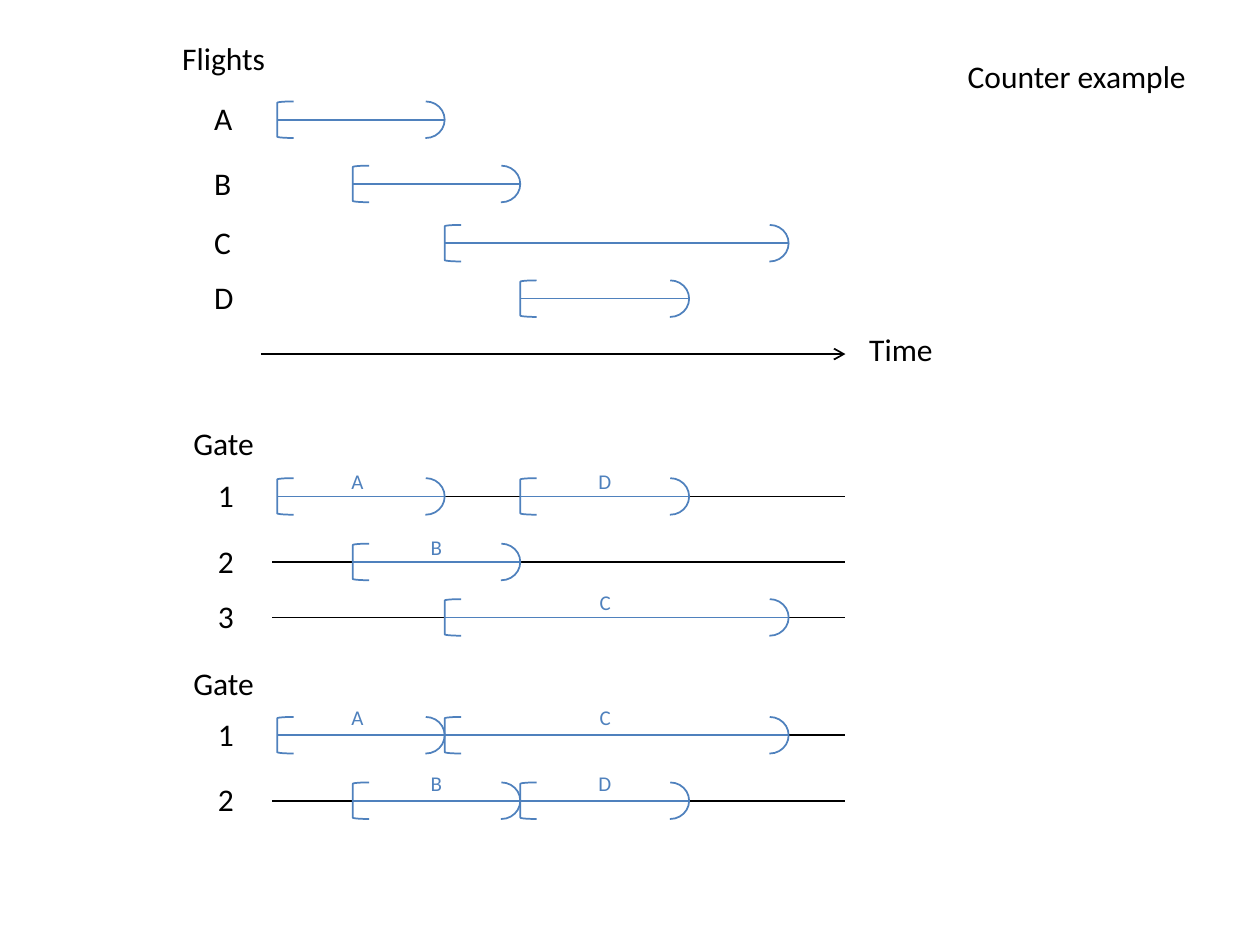
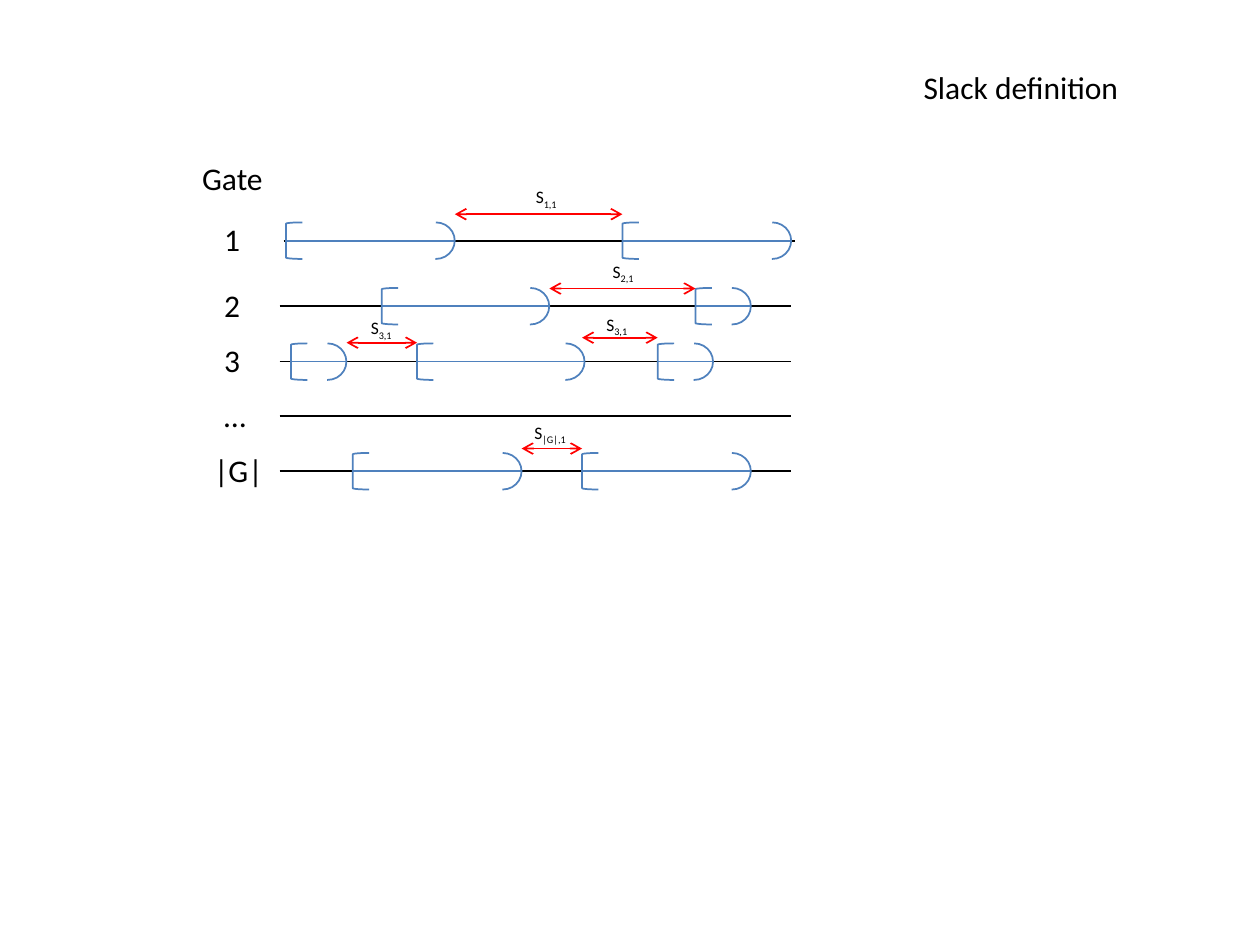
from dataclasses import dataclass

from lxml import etree
from pptx import Presentation
from pptx.dml.color import RGBColor
from pptx.enum.shapes import MSO_CONNECTOR, MSO_SHAPE
from pptx.enum.text import MSO_ANCHOR, MSO_AUTO_SIZE, PP_ALIGN
from pptx.oxml.ns import qn
from pptx.shapes.autoshape import Shape
from pptx.shapes.connector import Connector
from pptx.slide import Slide
from pptx.util import Emu, Inches, Pt

LINE = MSO_CONNECTOR.STRAIGHT
ARC = MSO_SHAPE.ARC
BRACKET = MSO_SHAPE.LEFT_BRACKET
LEFT, CENTER = PP_ALIGN.LEFT, PP_ALIGN.CENTER
TOP = MSO_ANCHOR.TOP
FIXED = MSO_AUTO_SIZE.NONE
TITLE_ONLY = 5

WIDTH, HEIGHT = Inches(10), Inches(7.5)
COLS, ROWS = 100, 75


@dataclass(frozen=True)
class Theme:
    font: str = "Calibri"
    ink: RGBColor = RGBColor(0, 0, 0)
    blue: RGBColor = RGBColor(0x4F, 0x81, 0xBD)
    red: RGBColor = RGBColor(0xFF, 0, 0)
    body: Pt = Pt(18)
    tag: Pt = Pt(12)
    note: Pt = Pt(10)
    rule: Pt = Pt(1)


@dataclass(frozen=True)
class Span:
    start: float
    end: float
    tag: str = ""
    left: float = 0


@dataclass(frozen=True)
class Lane:
    label: str
    row: float
    left: float
    spans: tuple[Span, ...] = ()
    start: float = 0
    end: float = 0
    lift: float = 0


@dataclass(frozen=True)
class Board:
    head: str
    left: float
    top: float
    lanes: tuple[Lane, ...]


@dataclass(frozen=True)
class Slack:
    start: float
    end: float
    row: float
    left: float
    top: float
    index: str


THEME = Theme()
BAR_HIGH, ARC_WIDE, HOOK_WIDE = 2.9, 3, 1.3
LABEL_LIFT = 2.1

A = Span(22, 35.3, "A", 26.9)
B = Span(28, 41.3, "B", 33.2)
C = Span(35.3, 62.6, "C", 46.6)
D = Span(41.3, 54.7, "D", 46.5)

COUNTER = (
    Board("Flights", 13.1, 2.6, tuple(
        Lane(span.tag, row, 16, (span,))
        for span, row in zip((A, B, C, D), (9.5, 14.6, 19.3, 23.7)))),
    Board("Gate", 13.1, 33.2, (
        Lane("1", 39.4, 16.3, (A, D), 22, 67.1, 2.7),
        Lane("2", 44.6, 16.3, (B,), 21.6, 67.1, 2.7),
        Lane("3", 49, 16.3, (C,), 21.6, 67.1, 2.7))),
    Board("Gate", 13.1, 52.2, (
        Lane("1", 58.35, 16.3, (A, C), 22, 67.1, 2.9),
        Lane("2", 63.55, 16.3, (B, D), 21.6, 67.1, 2.9))),
)

SLACK = Board("Gate", 13.8, 12.1, (
    Lane("1", 19.1, 16.8, (Span(22.7, 36.1), Span(49.4, 62.8)), 22.5, 63.1),
    Lane("2", 24.3, 16.8, (Span(30.3, 43.6), Span(55.2, 59.6)), 22.2, 62.8),
    Lane("3", 28.7, 16.8, (Span(23.1, 27.5), Span(33.1, 46.4),
                           Span(52.2, 56.6)), 22.2, 62.8),
    Lane("…", 33, 16.8, (), 22.2, 62.8),
    Lane("|G|", 37.4, 16, (Span(28, 41.4), Span(46.2, 59.6)), 22.2, 62.8),
))

SLACKS = (
    Slack(36.1, 49.4, 17, 40.8, 14.3, "1,1"),
    Slack(43.6, 55.2, 22.9, 46.9, 20.2, "2,1"),
    Slack(46.2, 52.2, 26.8, 46.4, 24.4, "3,1"),
    Slack(27.5, 33.1, 27.2, 27.7, 24.7, "3,1"),
    Slack(41.4, 46.2, 35.6, 41.1, 33, "|G|,1"),
)


def col(count: float) -> Emu:
    return Emu(round(WIDTH * count / COLS))


def row(count: float) -> Emu:
    return Emu(round(HEIGHT * count / ROWS))


def place(left: float, top: float, wide: float, high: float) -> tuple[Emu, ...]:
    return col(left), row(top), col(wide), row(high)


def style(shape: Shape, size: Pt, color: RGBColor, align: PP_ALIGN) -> None:
    frame = shape.text_frame
    frame.word_wrap = True
    frame.auto_size = FIXED
    frame.vertical_anchor = TOP
    para = frame.paragraphs[0]
    para.alignment = align
    para.font.name = THEME.font
    para.font.size = size
    para.font.color.rgb = color


def write(slide: Slide, text: str, left: float, top: float, wide: float = 3.1,
          high: float = 4, size: Pt = THEME.body, color: RGBColor = THEME.ink,
          align: PP_ALIGN = LEFT) -> Shape:
    box = slide.shapes.add_textbox(*place(left, top, wide, high))
    box.text_frame.text = text
    style(box, size, color, align)
    return box


def trace(shapes, start: float, end: float, level: float,
          color: RGBColor = THEME.ink, ends: tuple[str, ...] = ()) -> Connector:
    line = shapes.add_connector(LINE, col(start), row(level), col(end), row(level))
    line.line.color.rgb = color
    line.line.width = THEME.rule
    props = line._element.spPr
    for end_name in ends:
        etree.SubElement(props.find(qn("a:ln")), qn(end_name), type="arrow")
    etree.SubElement(props, qn("a:effectLst"))
    return line


def outline(shape: Shape) -> None:
    shape.shadow.inherit = False
    shape.fill.background()
    shape.line.color.rgb = THEME.blue
    shape.line.width = THEME.rule


def draw_span(slide: Slide, span: Span, level: float) -> None:
    shapes = slide.shapes.add_group_shape().shapes
    top = level - BAR_HIGH / 2
    curve = shapes.add_shape(
        ARC, *place(span.end - ARC_WIDE, top, ARC_WIDE, BAR_HIGH))
    curve.adjustments[0] = 162
    curve.adjustments[1] = 54.73
    hook = shapes.add_shape(BRACKET, *place(span.start, top, HOOK_WIDE, BAR_HIGH))
    for shape in (curve, hook):
        outline(shape)
    bar = trace(shapes, span.start, span.end, level, THEME.blue)
    bar.begin_connect(hook, 1)


def draw_board(slide: Slide, board: Board) -> None:
    write(slide, board.head, board.left, board.top, 9.3, align=CENTER)
    for lane in board.lanes:
        write(slide, lane.label, lane.left, lane.row - LABEL_LIFT,
              3.1 * max(1, len(lane.label) - 1))
        if lane.end:
            trace(slide.shapes, lane.start, lane.end, lane.row)
        for span in lane.spans:
            draw_span(slide, span, lane.row)
            if lane.lift:
                write(slide, span.tag, span.left, lane.row - lane.lift,
                      high=3, size=THEME.tag, color=THEME.blue)


def draw_slack(slide: Slide, slack: Slack) -> None:
    trace(slide.shapes, slack.start, slack.end, slack.row, THEME.red,
          ("a:headEnd", "a:tailEnd"))
    box = write(slide, "S", slack.left, slack.top, 5.1, 2.7, THEME.note,
                align=CENTER)
    run = box.text_frame.paragraphs[0].add_run()
    run.text = slack.index
    run._r.get_or_add_rPr().set("baseline", "-25000")


def add_slide(deck, title: str, left: float, top: float) -> Slide:
    slide = deck.slides.add_slide(deck.slide_layouts[TITLE_ONLY])
    head = slide.shapes.title
    head.left, head.top, head.width, head.height = place(left, top, 22.2, 4)
    head.text_frame.text = title
    style(head, THEME.body, THEME.ink, LEFT)
    return slide


def main() -> None:
    deck = Presentation()
    deck.slide_width, deck.slide_height = WIDTH, HEIGHT

    slide = add_slide(deck, "Counter example", 75.8, 4)
    trace(slide.shapes, 20.7, 67.1, 28.1, ends=("a:tailEnd",))
    write(slide, "Time", 68, 25.7, 7.8)
    for board in COUNTER:
        draw_board(slide, board)

    slide = add_slide(deck, "Slack definition", 72.3, 4.9)
    draw_board(slide, SLACK)
    for slack in SLACKS:
        draw_slack(slide, slack)

    deck.save("out.pptx")


if __name__ == "__main__":
    main()
